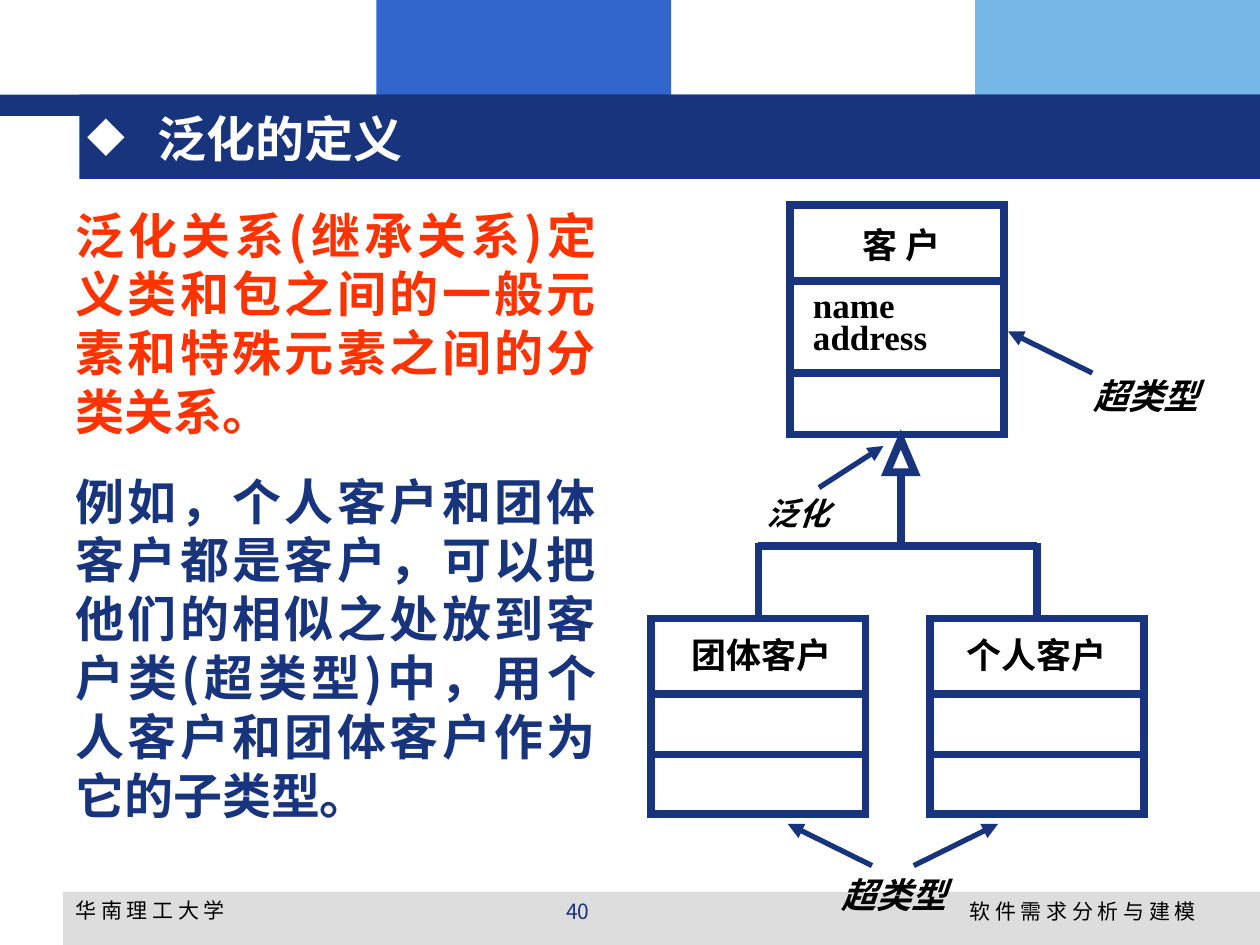
import pptx
import pptx.dml.color
import pptx.enum.shapes
import pptx.enum.text
import pptx.oxml.ns
import pptx.util
from lxml import etree
from pptx.util import Cm

qn = pptx.oxml.ns.qn
Align = pptx.enum.text.PP_ALIGN
Shape = pptx.enum.shapes.MSO_SHAPE


class Theme:
    navy = pptx.dml.color.RGBColor(0x17, 0x34, 0x7D)
    blue = pptx.dml.color.RGBColor(0x33, 0x66, 0xCC)
    sky = pptx.dml.color.RGBColor(0x77, 0xB7, 0xE7)
    grey = pptx.dml.color.RGBColor(0xDD, 0xDD, 0xDD)
    red = pptx.dml.color.RGBColor(0xFF, 0x33, 0x00)
    black = pptx.dml.color.RGBColor(0, 0, 0)
    white = pptx.dml.color.RGBColor(0xFF, 0xFF, 0xFF)
    sans = "DejaVu Sans"
    cjk = "Noto Sans CJK SC"
    serif = "Times New Roman"
    heading, class_size, note_size, footer = 28, 20, 18, 12
    outline, pointer = 4.5, 3


def style(paragraph, size, color, face, align=Align.LEFT, bold=True, italic=False):
    paragraph.alignment = align
    font = paragraph.font
    font.size = pptx.util.Pt(size)
    font.bold = bold
    font.italic = italic
    font.color.rgb = color
    font.name = face
    defaults = paragraph._p.pPr.find(qn("a:defRPr"))
    etree.SubElement(defaults, qn("a:ea")).set("typeface", Theme.cjk)


def draw_line(x1, y1, x2, y2, width=Theme.outline, arrow=False):
    line = slide.shapes.add_connector(
        pptx.enum.shapes.MSO_CONNECTOR.STRAIGHT, Cm(x1), Cm(y1), Cm(x2), Cm(y2))
    line.line.color.rgb = Theme.navy
    line.line.width = pptx.util.Pt(width)
    if arrow:
        etree.SubElement(line.line._get_or_add_ln(), qn("a:tailEnd")).set("type", "triangle")
    etree.SubElement(line._element.spPr, qn("a:effectLst"))
    return line


deck = pptx.Presentation()
deck.slide_width, deck.slide_height = Cm(25.4), Cm(19.05)
slide = deck.slides.add_slide(deck.slide_layouts[5])

for left, top, width, height, color in [
    (7.59, 0, 5.94, 2.34, Theme.blue),
    (19.66, 0, 5.74, 2.34, Theme.sky),
    (1.27, 17.98, 24.13, 1.07, Theme.grey),
    (0, 1.91, 25.4, 0.43, Theme.navy),
    (1.6, 1.91, 23.8, 1.7, Theme.navy),
]:
    band = slide.shapes.add_shape(Shape.RECTANGLE, Cm(left), Cm(top), Cm(width), Cm(height))
    band.shadow.inherit = False
    band.fill.solid()
    band.fill.fore_color.rgb = color
    band.line.fill.background()

title = slide.shapes.title
slide.shapes._spTree.append(title._element)
title.left, title.top, title.width, title.height = Cm(1.5), Cm(2.13), Cm(16.43), Cm(1.32)
title.text_frame.text = "泛化的定义"
title.text_frame.auto_size = pptx.enum.text.MSO_AUTO_SIZE.NONE
title.text_frame.vertical_anchor = pptx.enum.text.MSO_ANCHOR.MIDDLE
heading = title.text_frame.paragraphs[0]
bullet = heading._p.get_or_add_pPr()
bullet.set("marL", str(Cm(1.42)))
bullet.set("indent", str(-Cm(1.42)))
bullet_color = etree.SubElement(bullet, qn("a:buClr"))
etree.SubElement(bullet_color, qn("a:srgbClr")).set("val", str(Theme.white))
etree.SubElement(bullet, qn("a:buChar")).set("char", "◆")
style(heading, Theme.heading, Theme.white, Theme.sans)

for left, top, width, text, color, face, align in [
    (1.27, 17.96, 5.92, "华 南 理 工 大 学", Theme.black, Theme.sans, Align.LEFT),
    (16.31, 17.98, 8.05, "软 件 需 求 分 析 与 建 模", Theme.black, Theme.sans, Align.RIGHT),
    (8.69, 17.98, 5.92, "40", Theme.navy, Theme.cjk, Align.CENTER),
]:
    footer = slide.shapes.add_textbox(Cm(left), Cm(top), Cm(width), Cm(0.89)).text_frame
    footer.word_wrap = True
    footer.text = text
    style(footer.paragraphs[0], Theme.footer, color, face, align, bold=False)

definition = slide.shapes.add_textbox(Cm(1.27), Cm(4.01), Cm(11), Cm(12.73)).text_frame
definition.word_wrap = True
definition.text = (
    "泛化关系(继承关系)定义类和包之间的一般元素和特殊元素之间的分类关系。\n"
    "例如，个人客户和团体客户都是客户，可以把他们的相似之处放到客户类(超类型)中，"
    "用个人客户和团体客户作为它的子类型。"
)
for paragraph, color in zip(definition.paragraphs, (Theme.red, Theme.navy)):
    style(paragraph, Theme.heading, color, Theme.cjk, Align.JUSTIFY)
definition.paragraphs[1].space_before = pptx.util.Pt(17.5)

class_width = 4.32
class_boxes = []
for left, top, height, dividers in [
    (15.93, 4.14, 4.62, (5.66, 7.52)),
    (13.13, 12.47, 3.94, (13.99, 15.21)),
    (18.75, 12.47, 3.94, (13.99, 15.21)),
]:
    class_box = slide.shapes.add_shape(
        Shape.RECTANGLE, Cm(left), Cm(top), Cm(class_width), Cm(height))
    class_boxes.append(class_box)
    for y in dividers:
        draw_line(left, y, left + class_width, y)

hollow_head = slide.shapes.add_shape(
    Shape.ISOSCELES_TRIANGLE, Cm(17.88), Cm(8.86), Cm(0.56), Cm(0.66))
for outlined in class_boxes + [hollow_head]:
    outlined.shadow.inherit = False
    outlined.fill.background()
    outlined.line.color.rgb = Theme.navy
    outlined.line.width = pptx.util.Pt(Theme.outline)
    etree.SubElement(outlined.line._get_or_add_ln(), qn("a:miter")).set("lim", "800000")

branch_y = 11
branch_ends = [13.13 + class_width / 2, 18.75 + class_width / 2]
draw_line(18.16, 9.52, 18.16, branch_y)
draw_line(branch_ends[0], branch_y, branch_ends[1], branch_y)
for x, subtype in zip(branch_ends, class_boxes[1:]):
    draw_line(x, branch_y - 0.05, x, 12.47).end_connect(subtype, 0)

for pointer in [
    (16.51, 9.83, 17.81, 8.99),
    (22.02, 7.52, 20.32, 6.68),
    (17.58, 17.45, 15.88, 16.61),
    (18.42, 17.45, 20.12, 16.61),
]:
    draw_line(*pointer, width=Theme.pointer, arrow=True)

for left, top, width, height, text, size, align, italic, spacing in [
    (16.94, 4.47, 2.46, 1.37, "客 户", Theme.class_size, Align.CENTER, False, 1),
    (16.36, 5.89, 2.46, 1.6, "name\naddress", Theme.class_size, Align.LEFT, False, 0.75),
    (13.77, 12.8, 3.15, 1.14, "团体客户", Theme.class_size, Align.CENTER, False, 0.95),
    (19.33, 12.8, 3.15, 1.14, "个人客户", Theme.class_size, Align.CENTER, False, 0.95),
    (15.24, 9.93, 1.7, 0.97, "泛化", Theme.note_size, Align.CENTER, True, 1),
    (22.02, 7.52, 2.6, 1, "超类型", Theme.class_size, Align.LEFT, True, 1),
    (16.94, 17.58, 2.6, 1, "超类型", Theme.class_size, Align.LEFT, True, 1),
]:
    label = slide.shapes.add_textbox(Cm(left), Cm(top), Cm(width), Cm(height)).text_frame
    label.word_wrap = True
    label.margin_left = label.margin_right = label.margin_top = label.margin_bottom = Cm(0.03)
    label.text = text
    for paragraph in label.paragraphs:
        paragraph.line_spacing = spacing
        style(paragraph, size, Theme.black, Theme.serif, align, italic=italic)

deck.save("out.pptx")
